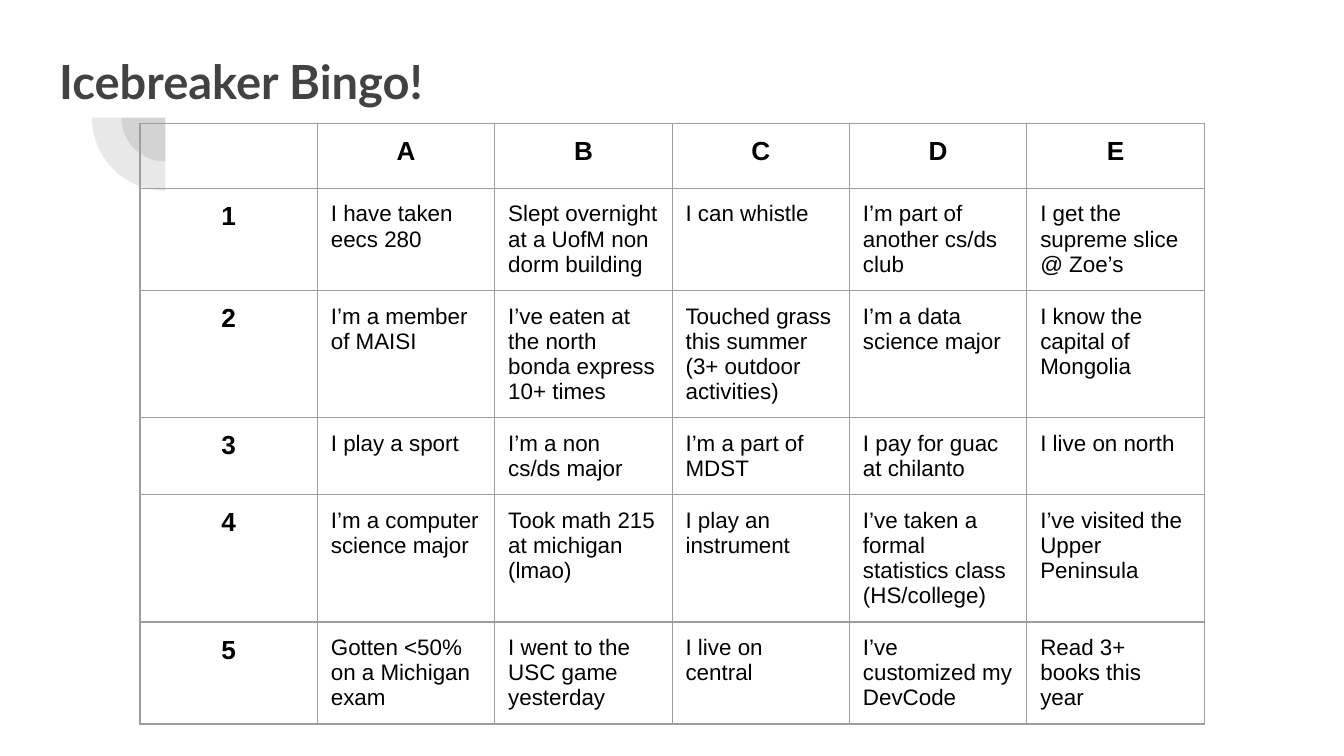
from dataclasses import dataclass

from lxml import etree
from pptx import Presentation
from pptx import util as u
from pptx.dml.color import RGBColor
from pptx.enum import shapes, text
from pptx.oxml.ns import qn

WIDE = 10
HIGH = WIDE * 9 / 16


@dataclass(frozen=True)
class Theme:
    dark: str = "424242"
    ink: str = "000000"
    rule: str = "9E9E9E"
    head: str = "Lato"
    body: str = "Arial"
    title: float = 25.2
    blank: float = 18
    label: float = 14
    note: float = 12
    edge: float = 0.75
    alpha: int = 12
    pad: float = 0.1


THEME = Theme()

BOARD = [
    ["", "A", "B", "C", "D", "E"],
    ["1", "I have taken eecs 280", "Slept overnight at a UofM non dorm building",
     "I can whistle", "I’m part of another cs/ds club",
     "I get the supreme slice @ Zoe’s"],
    ["2", "I’m a member of MAISI", "I’ve eaten at the north bonda express 10+ times",
     "Touched grass this summer (3+ outdoor activities)",
     "I’m a data science major", "I know the capital of Mongolia"],
    ["3", "I play a sport", "I’m a non cs/ds major", "I’m a part of MDST",
     "I pay for guac at chilanto", "I live on north"],
    ["4", "I’m a computer science major", "Took math 215 at michigan (lmao)",
     "I play an instrument", "I’ve taken a formal statistics class (HS/college)",
     "I’ve visited the Upper Peninsula"],
    ["5", "Gotten <50% on a Michigan exam", "I went to the USC game yesterday",
     "I live on central", "I’ve customized my DevCode",
     "Read 3+ books this year"],
]


def share(x, y, w, h):
    """Turn shares of the slide's size into lengths."""
    return [u.Inches(v * size) for v, size in zip((x, y, w, h), (WIDE, HIGH) * 2)]


def pad(item):
    for side in ("left", "right", "top", "bottom"):
        setattr(item, f"margin_{side}", u.Inches(THEME.pad))


def write(frame, words, align, color, **style):
    para = frame.paragraphs[0]
    para.alignment = align
    run = para.add_run()
    run.text = words
    for key, value in style.items():
        setattr(run.font, key, value)
    run.font.color.rgb = RGBColor.from_string(color)


def add_arcs(slide, box):
    """Nest two quarter discs in the box, sharing its top right corner."""
    left, top, width, _ = box
    for scale in (0.6, 1):
        rad = int(width * scale)
        pie = slide.shapes.add_shape(shapes.MSO_SHAPE.PIE, left + width - rad,
                                     top - rad, 2 * rad, 2 * rad)
        pie.adjustments[0], pie.adjustments[1] = 108, 162
        pie.rotation = 270
        pie.shadow.inherit = False
        pie.line.fill.background()
        pie.fill.solid()
        pie.fill.fore_color.rgb = RGBColor.from_string(THEME.dark)
        color = pie.fill._xPr.find(".//" + qn("a:srgbClr"))
        etree.SubElement(color, qn("a:alpha"), val=str(THEME.alpha * 1000))


def add_title(slide, box, words):
    title = slide.shapes.title
    title.left, title.top, title.width, title.height = box
    frame = title.text_frame
    pad(frame)
    frame.vertical_anchor = text.MSO_ANCHOR.TOP
    frame.auto_size = text.MSO_AUTO_SIZE.NONE
    write(frame, words, text.PP_ALIGN.LEFT, THEME.dark, name=THEME.head,
          size=u.Pt(THEME.title), bold=True)


def rule(cell):
    """Draw the four borders of a cell, ahead of its fill."""
    props = cell._tc.get_or_add_tcPr()
    for spot, side in enumerate(("lnL", "lnR", "lnT", "lnB")):
        line = etree.Element(qn(f"a:{side}"), w=str(u.Pt(THEME.edge)))
        fill = etree.SubElement(line, qn("a:solidFill"))
        etree.SubElement(fill, qn("a:srgbClr"), val=THEME.rule)
        props.insert(spot, line)


def add_board(slide, box, rows):
    table = slide.shapes.add_table(len(rows), len(rows[0]), *box).table
    table.first_row = table.horz_banding = False
    for r, row in enumerate(rows):
        for c, words in enumerate(row):
            cell = table.cell(r, c)
            pad(cell)
            cell.fill.background()
            rule(cell)
            label = r == 0 or c == 0
            align = text.PP_ALIGN.CENTER if label else text.PP_ALIGN.LEFT
            size = THEME.label if label else THEME.note
            write(cell.text_frame, words, align, THEME.ink, name=THEME.body,
                  size=u.Pt(size if words else THEME.blank), bold=label)


def main():
    deck = Presentation()
    deck.slide_width, deck.slide_height = u.Inches(WIDE), u.Inches(HIGH)
    slide = deck.slides.add_slide(deck.slide_layouts[5])
    add_arcs(slide, share(0.0685, 0.1555, 0.0545, 0.097))
    add_title(slide, share(0.034, 0.052, 0.932, 0.112), "Icebreaker Bingo!")
    add_board(slide, share(0.1042, 0.1635, 0.792, 0.45), BOARD)
    deck.save("out.pptx")


if __name__ == "__main__":
    main()
